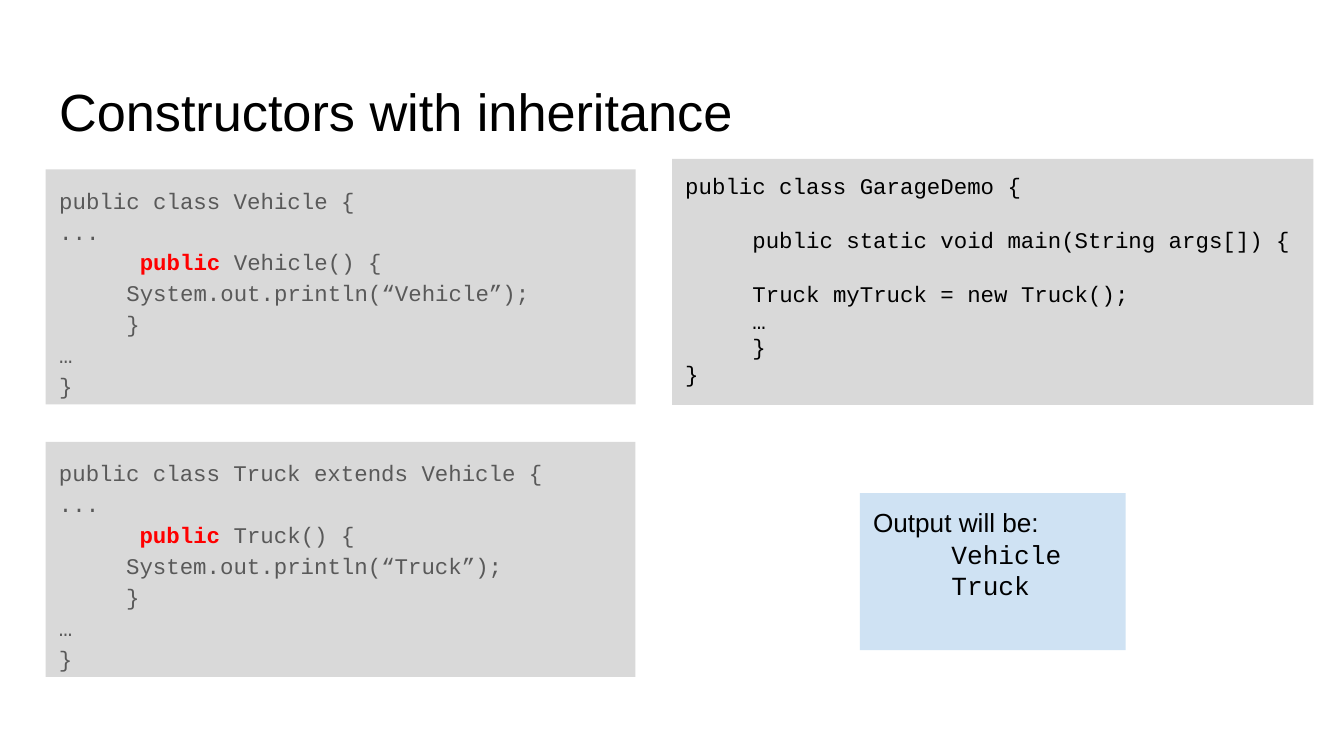
from dataclasses import dataclass

from lxml import etree
from pptx import Presentation
from pptx.dml.color import RGBColor
from pptx.enum.shapes import MSO_SHAPE
from pptx.enum.text import MSO_ANCHOR, MSO_AUTO_SIZE, PP_ALIGN
from pptx.oxml.ns import qn
from pptx.util import Pt

RECTANGLE = MSO_SHAPE.RECTANGLE
TOP = MSO_ANCHOR.TOP
LEFT = PP_ALIGN.LEFT
NO_AUTOFIT = MSO_AUTO_SIZE.NONE

COLORS = {
    "black": "000000",
    "gray_text": "595959",
    "keyword": "FF0000",
    "code_panel": "D9D9D9",
    "output_panel": "CFE2F3",
}
CODE_FONT = "Courier New"
TEXT_FONT = "Arial"
INSET = 7.2
BLANK_LINE = 14.4


@dataclass
class Line:
    text: str
    keyword: str = ""
    font: str = CODE_FONT
    gap: float = 0
    indent: float = 0


@dataclass
class Panel:
    left: float
    top: float
    width: float
    height: float
    fill: str
    lines: list[Line]
    size: float = 12
    color: str = "black"
    spacing: float = 1.0


def color_of(name: str) -> RGBColor:
    return RGBColor.from_string(COLORS[name])


def place(shape, left: float, top: float, width: float, height: float) -> None:
    shape.left, shape.top = Pt(left), Pt(top)
    shape.width, shape.height = Pt(width), Pt(height)


def write_text(shape, lines: list[Line], *, size: float, color: str, spacing: float = 1.0) -> None:
    frame = shape.text_frame
    frame.word_wrap = True
    frame.auto_size = NO_AUTOFIT
    frame.vertical_anchor = TOP
    frame.margin_left = frame.margin_right = Pt(INSET)
    frame.margin_top = frame.margin_bottom = Pt(INSET)
    for index, line in enumerate(lines):
        paragraph = frame.add_paragraph() if index else frame.paragraphs[0]
        properties = paragraph._p.get_or_add_pPr()
        properties.set("marL", str(Pt(line.indent)))
        properties.set("indent", "0")
        etree.SubElement(properties, qn("a:buNone"))
        paragraph.alignment = LEFT
        paragraph.line_spacing = spacing
        paragraph.space_before = Pt(line.gap)
        paragraph.space_after = Pt(0)
        parts = line.text.partition(line.keyword) if line.keyword else (line.text,)
        for part in filter(None, parts):
            highlighted = part == line.keyword
            run = paragraph.add_run()
            run.text = part
            run.font.name = line.font
            run.font.size = Pt(size)
            run.font.bold = highlighted
            run.font.color.rgb = color_of("keyword" if highlighted else color)


def draw_panel(shape, panel: Panel) -> None:
    place(shape, panel.left, panel.top, panel.width, panel.height)
    shape.fill.solid()
    shape.fill.fore_color.rgb = color_of(panel.fill)
    shape.line.fill.background()
    write_text(shape, panel.lines, size=panel.size, color=panel.color, spacing=panel.spacing)


def add_panel(slide, panel: Panel) -> None:
    shape = slide.shapes.add_shape(RECTANGLE, 0, 0, 0, 0)
    shape.shadow.inherit = False
    draw_panel(shape, panel)


def class_panel(top: float, name: str, heading: str) -> Panel:
    lines = [
        Line(f"public class {heading} {{"),
        Line("..."),
        Line(f"      public {name}() {{", keyword="public"),
        Line(f"\tSystem.out.println(“{name}”);"),
        Line("\t}"),
        Line("…"),
        Line("}"),
    ]
    return Panel(24.5, top, 316, 126, "code_panel", lines, color="gray_text", spacing=1.15)


def main() -> None:
    presentation = Presentation()
    presentation.slide_width, presentation.slide_height = Pt(720), Pt(405)
    slide = presentation.slides.add_slide(presentation.slide_layouts[1])

    title = slide.shapes.title
    place(title, 24.5, 35, 671, 45.1)
    write_text(title, [Line("Constructors with inheritance", font=TEXT_FONT)], size=28, color="black")

    draw_panel(slide.placeholders[1], class_panel(90.7, "Vehicle", "Vehicle"))
    add_panel(slide, class_panel(236.7, "Truck", "Truck extends Vehicle"))

    demo_lines = [
        Line("public class GarageDemo {"),
        Line("     public static void main(String args[]) {", gap=BLANK_LINE),
        Line("\tTruck myTruck = new Truck();", gap=BLANK_LINE),
        Line("\t…"),
        Line("     }"),
        Line("}"),
    ]
    add_panel(slide, Panel(360, 85.1, 343.6, 131.8, "code_panel", demo_lines))

    output_lines = [
        Line("Output will be:", font=TEXT_FONT),
        Line("Vehicle", indent=42),
        Line("Truck", indent=42),
    ]
    add_panel(slide, Panel(460.6, 264.2, 142.5, 84.2, "output_panel", output_lines, size=14))

    presentation.save("out.pptx")


if __name__ == "__main__":
    main()
